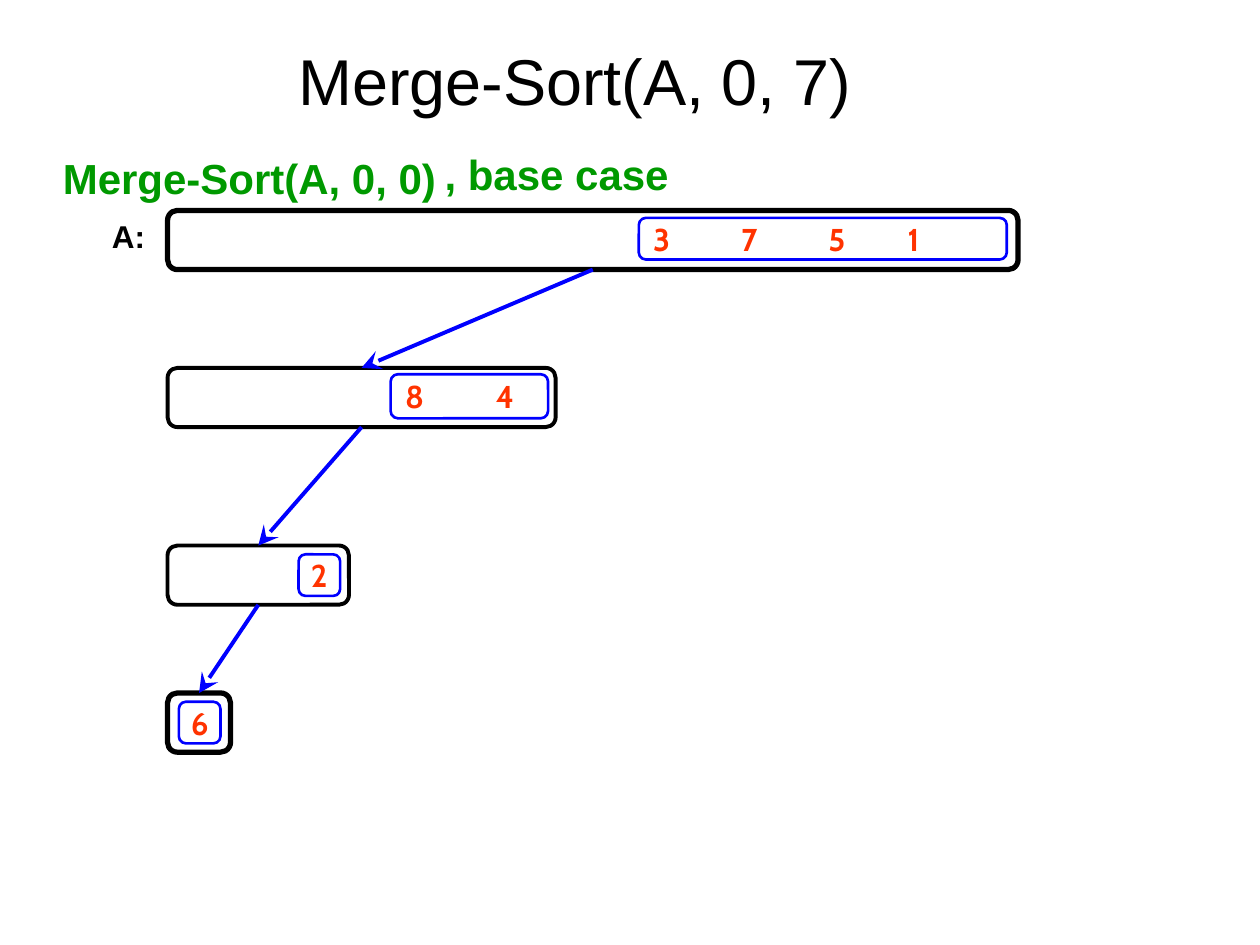
import pptx
import pptx.util
import pptx.dml.color
import pptx.enum.shapes
import pptx.enum.text
import pptx.oxml.ns
from lxml import etree

Inches = pptx.util.Inches
ALIGN = pptx.enum.text.PP_ALIGN
ANCHOR = pptx.enum.text.MSO_ANCHOR

BLACK, BLUE, RED, GREEN = "000000", "0000FF", "FF3300", "009900"
ARRAY_LEFT, ARRAY_HEIGHT = 1.33, 0.47

LEVELS = [
    {"top": 1.67, "width": 6.75, "weight": 3, "digits": "3751",
     "pending": (5.07, 1.73, 2.92, 0.33), "stops": (0.7, 1.39, 2.02)},
    {"top": 2.92, "width": 3.08, "weight": 2.25, "digits": "84",
     "pending": (3.1, 2.97, 1.25, 0.35), "stops": (0.72,)},
    {"top": 4.33, "width": 1.44, "weight": 2.25, "digits": "2",
     "pending": (2.37, 4.4, 0.33, 0.33), "stops": ()},
    {"top": 5.5, "width": 0.5, "weight": 3, "digits": "6",
     "pending": (1.42, 5.57, 0.33, 0.33), "stops": ()},
]

LABELS = [
    ("Merge-Sort(A, 0, 0)", (0.4, 1.16, 3.56, 0.5), 24, GREEN, True, ALIGN.LEFT, ANCHOR.TOP),
    (", base case", (3.43, 1.13, 2.43, 0.5), 24, GREEN, True, ALIGN.LEFT, ANCHOR.TOP),
    ("A:", (0.79, 1.67, 0.52, 0.4), 18, BLACK, True, ALIGN.LEFT, ANCHOR.TOP),
    ("Merge-Sort(A, 0, 7)", (0.44, 0.35, 8.25, 0.64), 37, BLACK, False, ALIGN.CENTER, ANCHOR.BOTTOM),
]


def rgb(value):
    return pptx.dml.color.RGBColor.from_string(value)


def add_element(parent, tag, **attributes):
    return etree.SubElement(parent, pptx.oxml.ns.qn(tag), attributes)


def add_rounded(page, place, color, weight):
    box = page.shapes.add_shape(
        pptx.enum.shapes.MSO_SHAPE.ROUNDED_RECTANGLE, *map(Inches, place))
    box.adjustments[0] = 0.167
    box.shadow.inherit = False
    box.fill.background()
    box.line.color.rgb = rgb(color)
    box.line.width = pptx.util.Pt(weight)
    return box


def set_text(box, text, font, size, color, bold, align, anchor, wrap=True, stops=()):
    frame = box.text_frame
    frame.text = text
    frame.word_wrap = wrap
    frame.vertical_anchor = anchor
    para = frame.paragraphs[0]
    para.alignment = align
    if stops:
        tabs = add_element(para._p.get_or_add_pPr(), "a:tabLst")
        for stop in stops:
            add_element(tabs, "a:tab", pos=str(Inches(stop)), algn="l")
    for span in para.runs:
        span.font.name = font
        span.font.size = pptx.util.Pt(size)
        span.font.bold = bold
        span.font.color.rgb = rgb(color)


def add_arrow(page, child, parent):
    arrow = page.shapes.add_connector(
        pptx.enum.shapes.MSO_CONNECTOR.STRAIGHT, 0, 0, 0, 0)
    arrow.begin_connect(child, 0)
    arrow.end_connect(parent, 2)
    arrow.line.color.rgb = rgb(BLUE)
    arrow.line.width = pptx.util.Pt(2.25)
    add_element(arrow.line._get_or_add_ln(), "a:headEnd",
                type="stealth", w="lg", len="lg")
    add_element(arrow._element.spPr, "a:effectLst")


def main():
    deck = pptx.Presentation()
    deck.slide_width, deck.slide_height = Inches(10), Inches(7.5)
    page = deck.slides.add_slide(deck.slide_layouts[6])

    arrays = [
        add_rounded(page, (ARRAY_LEFT, level["top"], level["width"], ARRAY_HEIGHT),
                    BLACK, level["weight"])
        for level in LEVELS
    ]
    for parent, child in zip(arrays, arrays[1:]):
        add_arrow(page, child, parent)

    for level in LEVELS:
        several = len(level["digits"]) > 1
        box = add_rounded(page, level["pending"], BLUE, 1.5)
        set_text(box, "\t".join(level["digits"]), "Cabin", 18, RED, True,
                 ALIGN.LEFT if several else ALIGN.CENTER, ANCHOR.MIDDLE,
                 several, level["stops"])

    for text, place, size, color, bold, align, anchor in LABELS:
        box = page.shapes.add_textbox(*map(Inches, place))
        set_text(box, text, "Arial", size, color, bold, align, anchor)

    deck.save("out.pptx")


if __name__ == "__main__":
    main()
